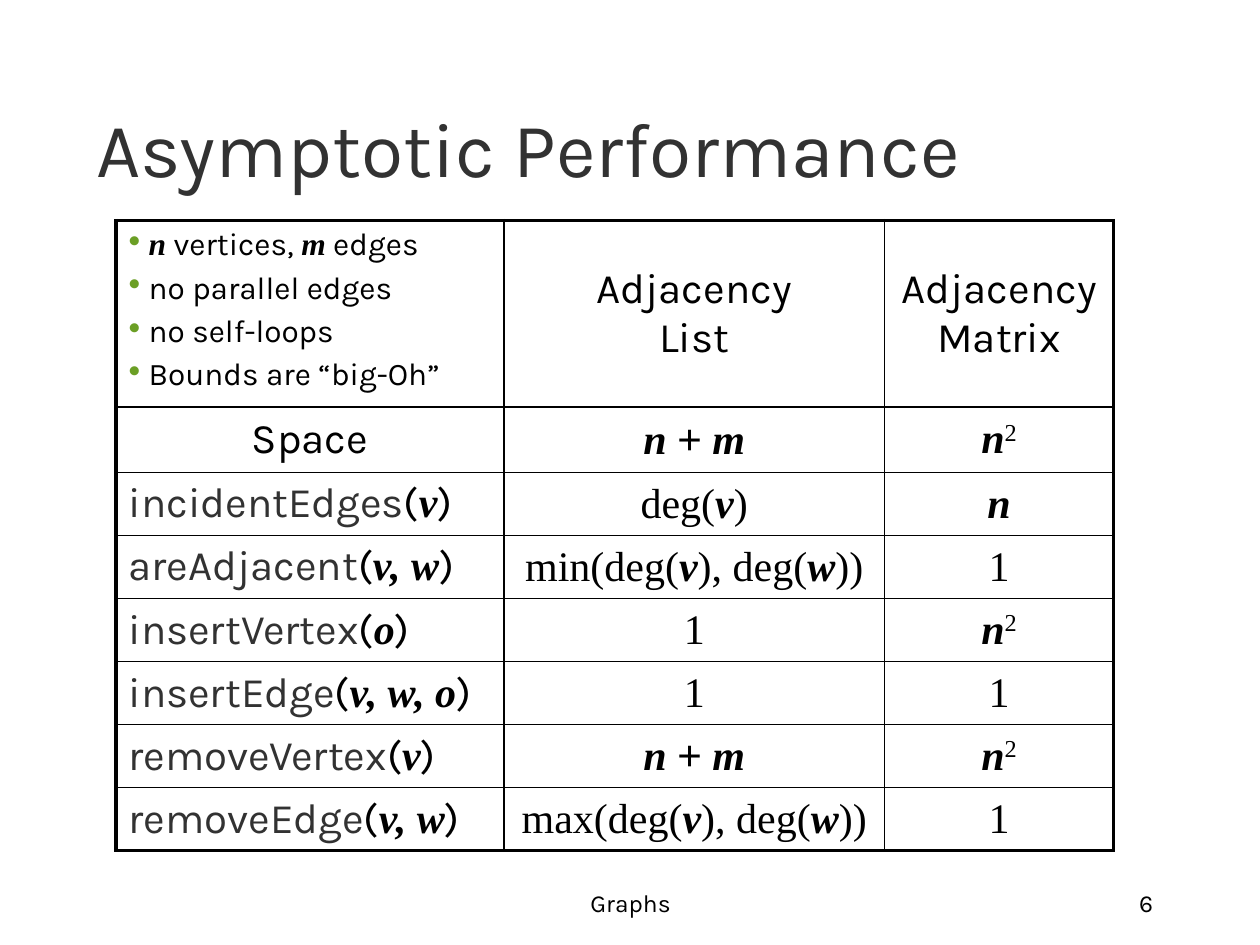
from lxml import etree
from pptx import Presentation
from pptx import util as u
from pptx.dml.color import RGBColor
from pptx.enum import text
from pptx.oxml.ns import qn

COLORS = {"background": "FFFFFF", "ink": "000000", "heading": "323232", "bullet": "6B9F25"}
SANS, SERIF = "Karla", "Times New Roman"

# Run styles: font, colour, bold italic, superscript
STYLES = {
    "plain": (SANS, "ink", False, False),
    "name": (SANS, "heading", False, False),
    "math": (SERIF, "ink", False, False),
    "var": (SERIF, "ink", True, False),
    "plus": ("Arial", "ink", False, False),
    "sup": (SERIF, "ink", False, True),
}
LEFT, CENTER, RIGHT = text.PP_ALIGN.LEFT, text.PP_ALIGN.CENTER, text.PP_ALIGN.RIGHT

# Growth bounds as lists of (text, style)
ONE = [("1", "math")]
N = [("n", "var")]
N_SQUARED = N + [("2", "sup")]
N_PLUS_M = [("n ", "var"), ("+", "plus"), (" m", "var")]
DEGREE = [("deg(", "math"), ("v", "var"), (")", "math")]


def of_degrees(function):
    return [(function + "(deg(", "math"), ("v", "var"), ("), deg(", "math"),
            ("w", "var"), ("))", "math")]


def call(name, arguments):
    return [(name, "name"), ("(", "plain"), (arguments, "var"), (")", "plain")]


ASSUMPTIONS = [
    [("n", "var"), (" vertices, ", "plain"), ("m", "var"), (" edges", "plain")],
    [("no parallel edges", "plain")],
    [("no self-loops", "plain")],
    [("Bounds are “big-Oh”", "plain")],
]
HEADERS = ["Adjacency\vList", "Adjacency Matrix"]
OPERATIONS = [
    ([("Space", "plain")], N_PLUS_M, N_SQUARED),
    (call("incidentEdges", "v"), DEGREE, N),
    (call("areAdjacent", "v, w"), of_degrees("min"), ONE),
    (call("insertVertex", "o"), ONE, N_SQUARED),
    (call("insertEdge", "v, w, o"), ONE, ONE),
    (call("removeVertex", "v"), N_PLUS_M, N_SQUARED),
    (call("removeEdge", "v, w"), of_degrees("max"), ONE),
]
COLUMNS = [3.08, 3.02, 1.82]
ROWS = [1.48, 0.52] + [0.5] * 6


def add_runs(p, runs, size, align=LEFT):
    p.alignment = align
    for content, style in runs:
        font, color, strong, raised = STYLES[style]
        for i, line in enumerate(content.split("\v")):
            if i:
                p.add_line_break()
            r = p.add_run()
            r.text = line
            r.font.name, r.font.size = font, u.Pt(size)
            r.font.bold = r.font.italic = strong
            r.font.color.rgb = RGBColor.from_string(COLORS[color])
            if raised:
                r._r.get_or_add_rPr().set("baseline", "30000")


def add_bullet(p):
    pPr = p._p.get_or_add_pPr()
    indent = u.Inches(0.16)
    pPr.set("marL", str(indent))
    pPr.set("indent", str(-indent))
    color = etree.SubElement(pPr, qn("a:buClr"))
    etree.SubElement(color, qn("a:srgbClr"), val=COLORS["bullet"])
    etree.SubElement(pPr, qn("a:buSzPct"), val="110000")
    etree.SubElement(pPr, qn("a:buChar"), char="•")


def set_borders(cell, row, column):
    outer = {"L": column == 0, "R": column == len(COLUMNS) - 1,
             "T": row == 0, "B": row == len(ROWS) - 1}
    tcPr = cell._tc.get_or_add_tcPr()
    for side, is_outer in outer.items():
        ln = etree.SubElement(tcPr, qn("a:ln" + side), w=str(u.Pt(2.25 if is_outer else 1)))
        fill = etree.SubElement(ln, qn("a:solidFill"))
        etree.SubElement(fill, qn("a:srgbClr"), val=COLORS["ink"])


def add_text(s, box, runs, size, align=LEFT):
    tf = s.shapes.add_textbox(*map(u.Inches, box)).text_frame
    tf.word_wrap = True
    tf.vertical_anchor = text.MSO_ANCHOR.BOTTOM
    add_runs(tf.paragraphs[0], runs, size, align)


def add_performance_table(s, left, top):
    box = (left, top, sum(COLUMNS), sum(ROWS))
    table = s.shapes.add_table(len(ROWS), len(COLUMNS), *map(u.Inches, box)).table
    table.first_row = table.horz_banding = False
    for column, width in zip(table.columns, COLUMNS):
        column.width = u.Inches(width)
    for row, height in zip(table.rows, ROWS):
        row.height = u.Inches(height)

    grid = [[None] + [[(header, "plain")] for header in HEADERS]] + OPERATIONS
    for i, row in enumerate(grid):
        for j, runs in enumerate(row):
            cell = table.cell(i, j)
            set_borders(cell, i, j)
            cell.fill.background()
            if runs:
                cell.vertical_anchor = text.MSO_ANCHOR.MIDDLE
                align = LEFT if j == 0 and i > 1 else CENTER
                add_runs(cell.text_frame.paragraphs[0], runs, 24, align)

    # Assumptions in the corner cell
    tf = table.cell(0, 0).text_frame
    for i, runs in enumerate(ASSUMPTIONS):
        p = tf.add_paragraph() if i else tf.paragraphs[0]
        add_bullet(p)
        if i:
            p.space_before = u.Pt(3.6)
        add_runs(p, runs, 18)


def add_footer(s, top, height):
    add_text(s, (3.42, top, 3.17, height), [("Graphs", "plain")], 14, CENTER)
    add_text(s, (7.17, top, 2.08, height), [("6", "plain")], 14, RIGHT)


def main():
    prs = Presentation()
    prs.slide_width, prs.slide_height = u.Inches(10), u.Inches(7.5)
    s = prs.slides.add_slide(prs.slide_layouts[6])
    s.background.fill.solid()
    s.background.fill.fore_color.rgb = RGBColor.from_string(COLORS["background"])
    add_text(s, (0.67, 0.33, 8.5, 1.25), [("Asymptotic Performance", "name")], 44)
    add_performance_table(s, 0.92, 1.75)
    add_footer(s, 6.83, 0.5)
    prs.save("out.pptx")


if __name__ == "__main__":
    main()
